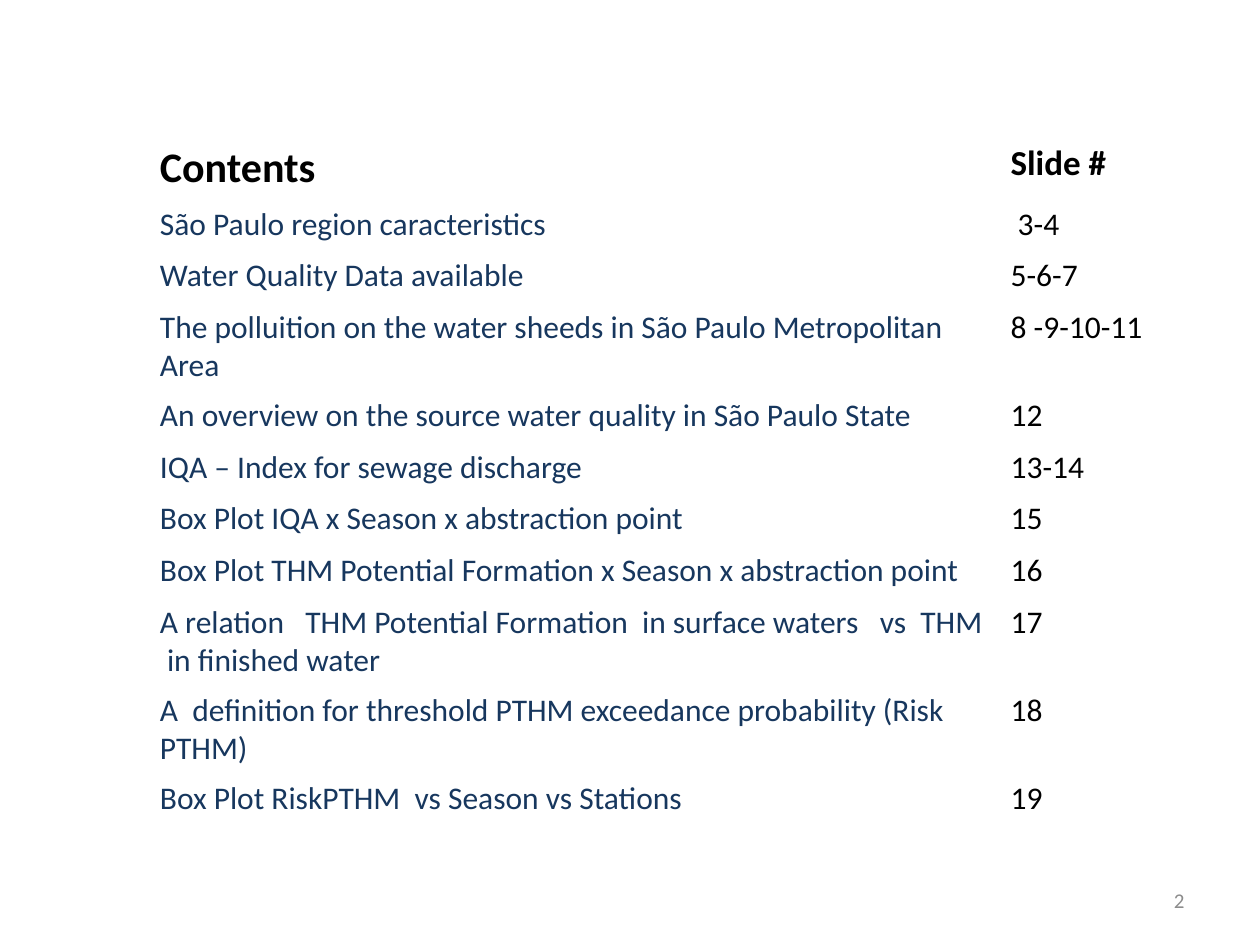
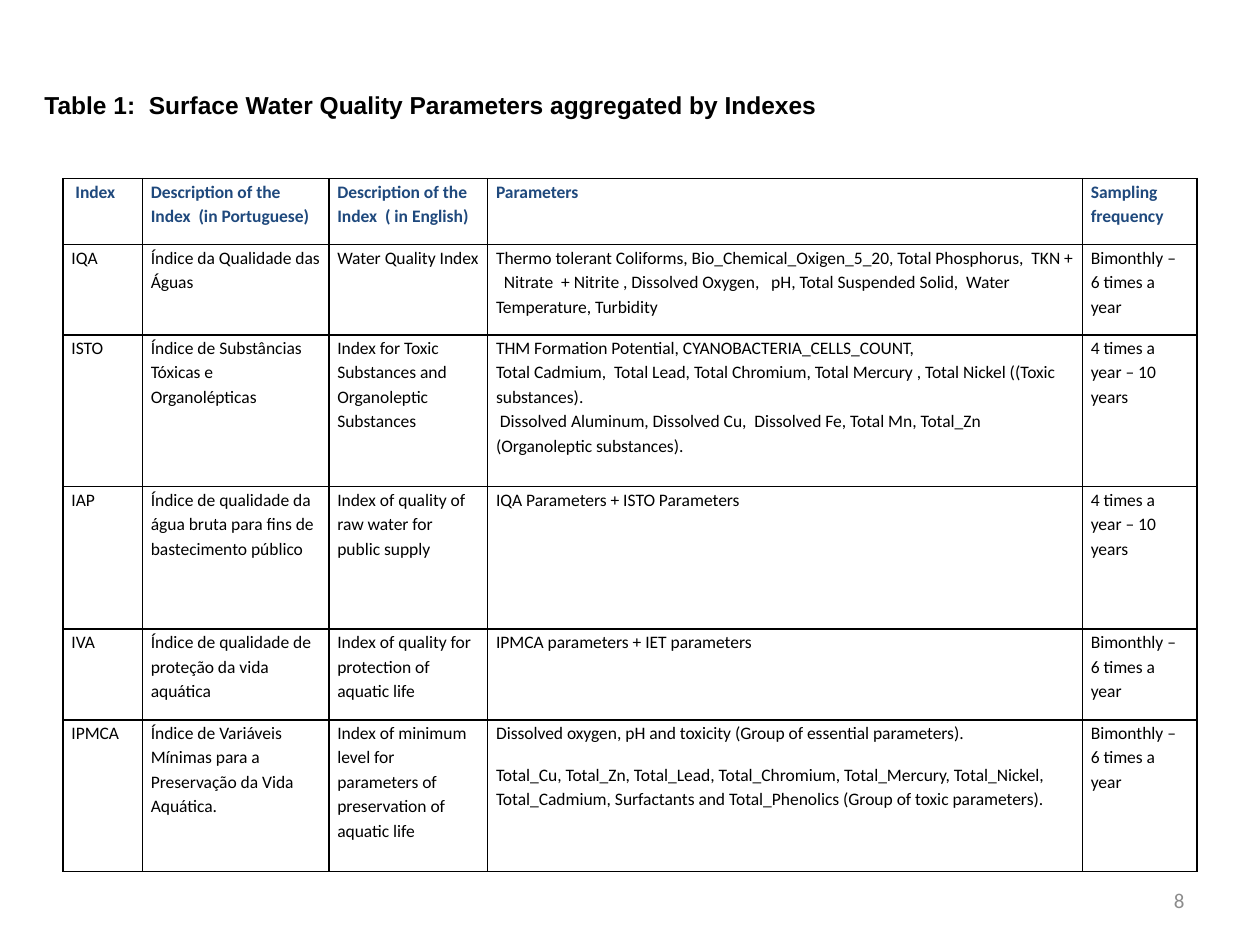
from lxml import etree
from pptx import Presentation
from pptx.dml.color import RGBColor
from pptx.enum import text as tx
from pptx.oxml import ns
from pptx.util import Cm, Pt

BLACK, NAVY, BLUE, GREY = "000000", "17375E", "1F497D", "8C8C8C"


def style(par, size, color=BLACK, bold=False, name="Calibri", **layout):
    """Format one paragraph; layout holds paragraph attributes."""
    look = {"size": Pt(size), "bold": bold, "name": name}
    for key, val in look.items():
        for run in par.runs:
            setattr(run.font, key, val)
    for run in par.runs:
        run.font.color.rgb = RGBColor.from_string(color)
    for key, val in layout.items():
        setattr(par, key, val)


def grid(slide, left, top, widths, heights):
    """Add a plain table without style bands or fills."""
    frame = slide.shapes.add_table(len(heights), len(widths), Cm(left), Cm(top),
                                   Cm(sum(widths)), Cm(sum(heights)))
    table = frame.table
    table.first_row = table.horz_banding = False
    for col, width in zip(table.columns, widths):
        col.width = Cm(width)
    for row, height in zip(table.rows, heights):
        row.height = Cm(height)
    for cell in table.iter_cells():
        cell.fill.background()
    return table


prs = Presentation()
prs.slide_width, prs.slide_height = Cm(25.4), Cm(19.05)
toc = prs.slides.add_slide(prs.slide_layouts[6])
params = prs.slides.add_slide(prs.slide_layouts[5])

# Page numbers
for slide, num in ((toc, "2"), (params, "8")):
    box = slide.shapes.add_textbox(Cm(18.2), Cm(17.65), Cm(5.93), Cm(1.01))
    frame = box.text_frame
    frame.word_wrap = True
    frame.vertical_anchor = tx.MSO_ANCHOR.MIDDLE
    frame.text = num
    style(frame.paragraphs[0], 12, GREY, alignment=tx.PP_ALIGN.RIGHT)

# Contents
topics = [
    ("Contents", "Slide #"),
    ("São Paulo region caracteristics", " 3-4"),
    ("Water Quality Data available", "5-6-7"),
    ("The polluition on the water sheeds in São Paulo Metropolitan Area", "8 -9-10-11"),
    ("An overview on the source water quality in São Paulo State", "12"),
    ("IQA – Index for sewage discharge", "13-14"),
    ("Box Plot IQA x Season x abstraction point", "15"),
    ("Box Plot THM Potential Formation x Season x abstraction point", "16"),
    ("A relation   THM Potential Formation  in surface waters   vs  THM  in finished water",
     "17"),
    ("A  definition for threshold PTHM exceedance probability (Risk PTHM)", "18"),
    ("Box Plot RiskPTHM  vs Season vs Stations", "19"),
]
table = grid(toc, 2.97, 2.74, [17.15, 3.38], [1.04] * (len(topics) + 1))
for r, topic in enumerate(topics):
    for c, words in enumerate(topic):
        cell = table.cell(r, c)
        cell.text = words
        par = cell.text_frame.paragraphs[0]
        if r == 0:
            style(par, (24, 20)[c], bold=True)
        else:
            style(par, 18, (NAVY, BLACK)[c])

# Water quality parameters
title = params.shapes.title
title.left, title.top, title.width, title.height = Cm(0.64), Cm(1.47), Cm(24), Cm(1.27)
title.text = "Table 1:  Surface Water Quality Parameters aggregated by Indexes"
title.text_frame.vertical_anchor = tx.MSO_ANCHOR.MIDDLE
style(title.text_frame.paragraphs[0], 14, bold=True, name="Arial",
      alignment=tx.PP_ALIGN.LEFT)

often, rare = "Bimonthly – 6 times a year", "4 times a year – 10 years"
indexes = [
    (" Index", "Description of the Index  (in Portuguese)",
     "Description of the Index  ( in English)", "Parameters", "Sampling frequency"),
    ("IQA", "Índice da Qualidade das Águas", "Water Quality Index",
     "Thermo tolerant Coliforms, Bio_Chemical_Oxigen_5_20, Total Phosphorus,  TKN +   "
     "Nitrate  + Nitrite , Dissolved Oxygen,   pH, Total Suspended Solid,  Water "
     "Temperature, Turbidity", often),
    ("ISTO", "Índice de Substâncias Tóxicas e Organolépticas",
     "Index for Toxic Substances and Organoleptic  Substances",
     "THM Formation Potential, CYANOBACTERIA_CELLS_COUNT,\n"
     "Total Cadmium,  Total Lead, Total Chromium, Total Mercury , Total Nickel "
     "((Toxic substances).\n"
     " Dissolved Aluminum, Dissolved Cu,  Dissolved Fe, Total Mn, Total_Zn "
     "(Organoleptic substances).", rare),
    ("IAP", "Índice de qualidade da água bruta para fins de  bastecimento público",
     "Index of quality of raw water for public supply",
     "IQA Parameters + ISTO Parameters", rare),
    ("IVA", "Índice de qualidade de proteção da vida aquática",
     "Index of quality for protection of aquatic life",
     "IPMCA parameters + IET parameters", often),
    ("IPMCA", "Índice de Variáveis Mínimas para a Preservação da Vida Aquática.",
     "Index of minimum level for parameters of preservation of aquatic life",
     "Dissolved oxygen, pH and toxicity (Group of essential parameters).\n"
     "Total_Cu, Total_Zn, Total_Lead, Total_Chromium, Total_Mercury, Total_Nickel, "
     "Total_Cadmium, Surfactants and Total_Phenolics (Group of toxic parameters).", often),
]
inset = {"margin_left": Cm(0.17), "margin_right": Cm(0.17),
         "margin_top": 0, "margin_bottom": 0}
table = grid(params, 1.27, 3.6, [1.6, 3.76, 3.2, 11.99, 2.31],
             [1.33, 1.82, 3.06, 2.87, 1.83, 3.06])
for r, index in enumerate(indexes):
    for c, words in enumerate(index):
        cell = table.cell(r, c)
        cell.text = words
        for key, val in inset.items():
            setattr(cell, key, val)
        tight = r in (1, 2) and c > 2
        for par in cell.text_frame.paragraphs:
            style(par, 10, BLACK if r else BLUE, bold=r == 0, line_spacing=1.15,
                  space_after=Pt(0 if tight else 10))
        props = cell._tc.get_or_add_tcPr()
        for pos, side in enumerate(("lnL", "lnR", "lnT", "lnB")):
            line = etree.Element(ns.qn("a:" + side), w=str(Pt(1)))
            fill = etree.SubElement(line, ns.qn("a:solidFill"))
            etree.SubElement(fill, ns.qn("a:srgbClr"), val=BLACK)
            props.insert(pos, line)

prs.save("out.pptx")
